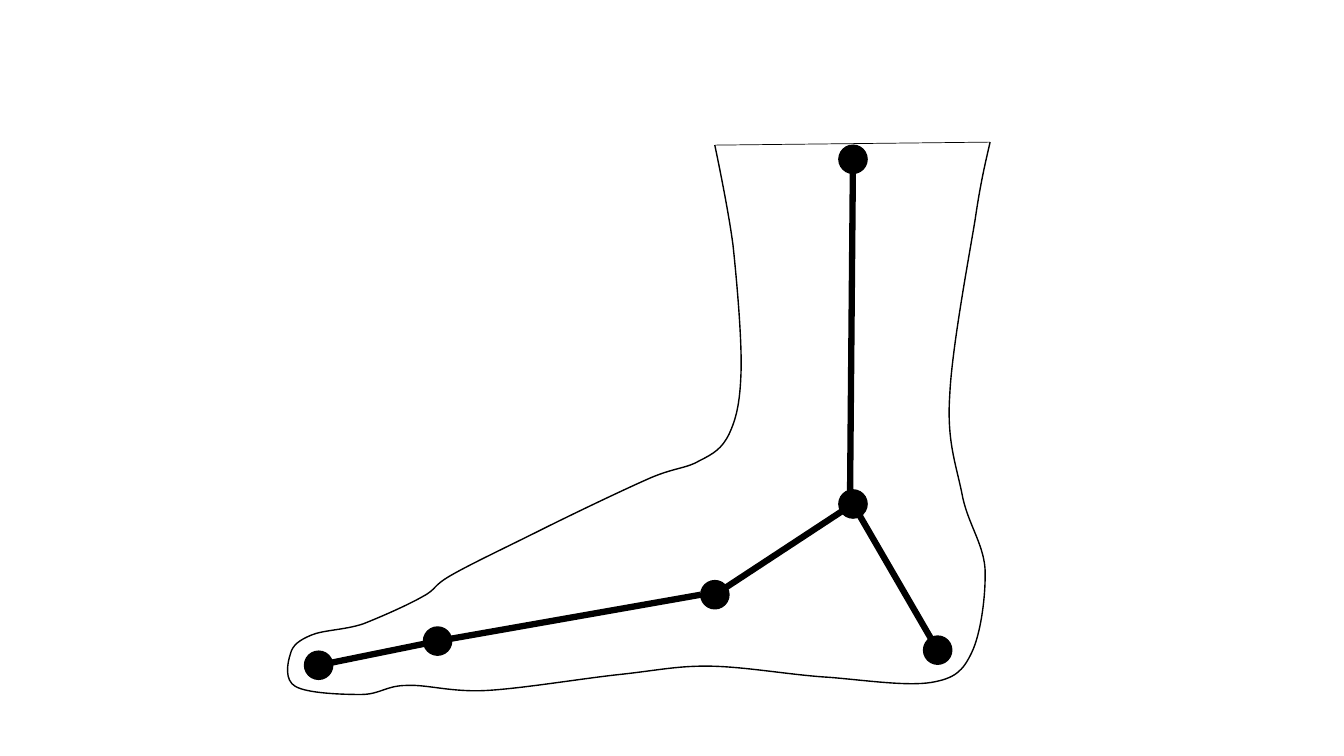
import pptx
import pptx.util
import pptx.oxml
import pptx.oxml.ns
import pptx.dml.color
import pptx.enum.shapes

BLACK = pptx.dml.color.RGBColor(0, 0, 0)
COLUMNS, ROWS = 1333, 750
CELL = pptx.util.Inches(0.01)
JOINT_SIZE = 28

ANKLE_FRONT = (709, 144)
ANKLE_BACK = (982, 141)

FOOT_CURVES = [
    [(978, 159), (973, 178), (967, 219)],
    [(960, 261), (944, 347), (942, 392)],
    [(939, 437), (948, 460), (954, 489)],
    [(959, 518), (975, 538), (977, 564)],
    [(978, 590), (973, 628), (964, 647)],
    [(955, 666), (947, 673), (924, 677)],
    [(900, 681), (859, 675), (823, 672)],
    [(787, 670), (743, 662), (708, 661)],
    [(674, 660), (653, 665), (616, 669)],
    [(578, 673), (519, 683), (483, 685)],
    [(448, 687), (424, 679), (404, 680)],
    [(383, 680), (377, 689), (358, 689)],
    [(340, 689), (305, 688), (293, 681)],
    [(282, 675), (285, 658), (288, 649)],
    [(290, 640), (297, 635), (309, 630)],
    [(321, 625), (342, 625), (360, 619)],
    [(378, 612), (405, 600), (419, 592)],
    [(434, 584), (428, 582), (447, 571)],
    [(466, 560), (502, 543), (534, 527)],
    [(566, 511), (614, 488), (641, 476)],
    [(667, 464), (681, 465), (694, 457)],
    [(708, 450), (716, 445), (723, 431)],
    [(730, 416), (734, 401), (735, 369)],
    [(736, 338), (731, 280), (727, 243)],
    [(722, 205), (709, 144), ANKLE_FRONT],
]

JOINTS = {
    "ball": (434, 636),
    "toe": (316, 660),
    "heel": (930, 645),
    "midfoot": (709, 590),
    "ankle": (846, 500),
    "shin": (846, 158),
}

BONES = [
    (JOINTS["toe"], JOINTS["ball"]),
    (JOINTS["ball"], (695, 590)),
    (JOINTS["midfoot"], JOINTS["ankle"]),
    (JOINTS["ankle"], JOINTS["heel"]),
    ((843, 501), (846, 157)),
]


class Drawing:
    def __init__(self, deck, color):
        page = deck.slides.add_slide(deck.slide_layouts[6])
        self.shapes = page.shapes.add_group_shape().shapes
        self.color = color

    def cells(self, *counts):
        return [count * CELL for count in counts]

    def stroke(self, shape, width):
        shape.line.color.rgb = self.color
        shape.line.width = pptx.util.Pt(width)

    def outline(self, start, curves, width):
        builder = self.shapes.build_freeform(*self.cells(*start))
        points = [self.cells(*point) for curve in curves for point in curve]
        builder.add_line_segments(points, close=False)
        shape = builder.convert_to_shape()
        shape.shadow.inherit = False
        shape.fill.background()
        self.stroke(shape, width)
        self.bend(shape)

    def bend(self, shape):
        qn = pptx.oxml.ns.qn
        path = next(shape.element.iter(qn("a:path")))
        segments = path.findall(qn("a:lnTo"))
        for first in range(0, len(segments), 3):
            curve = pptx.oxml.parse_xml(
                "<a:cubicBezTo %s/>" % pptx.oxml.ns.nsdecls("a"))
            for segment in segments[first:first + 3]:
                curve.append(segment[0])
                path.remove(segment)
            path.append(curve)

    def line(self, start, end, width):
        connector = self.shapes.add_connector(
            pptx.enum.shapes.MSO_CONNECTOR.STRAIGHT,
            *self.cells(*start, *end))
        self.stroke(connector, width)
        connector.element.spPr.append(pptx.oxml.parse_xml(
            "<a:effectLst %s/>" % pptx.oxml.ns.nsdecls("a")))

    def dot(self, center, size, width):
        column, row = center
        shape = self.shapes.add_shape(
            pptx.enum.shapes.MSO_SHAPE.OVAL,
            *self.cells(column - size // 2, row - size // 2, size, size))
        shape.shadow.inherit = False
        shape.fill.solid()
        shape.fill.fore_color.rgb = self.color
        self.stroke(shape, width)


deck = pptx.Presentation()
deck.slide_width = COLUMNS * CELL
deck.slide_height = ROWS * CELL

foot = Drawing(deck, BLACK)
foot.outline(ANKLE_BACK, FOOT_CURVES, 1)
foot.line(ANKLE_BACK, ANKLE_FRONT, 0.5)
for joint in JOINTS.values():
    foot.dot(joint, JOINT_SIZE, 1)
for start, end in BONES:
    foot.line(start, end, 4.5)

deck.save("out.pptx")
